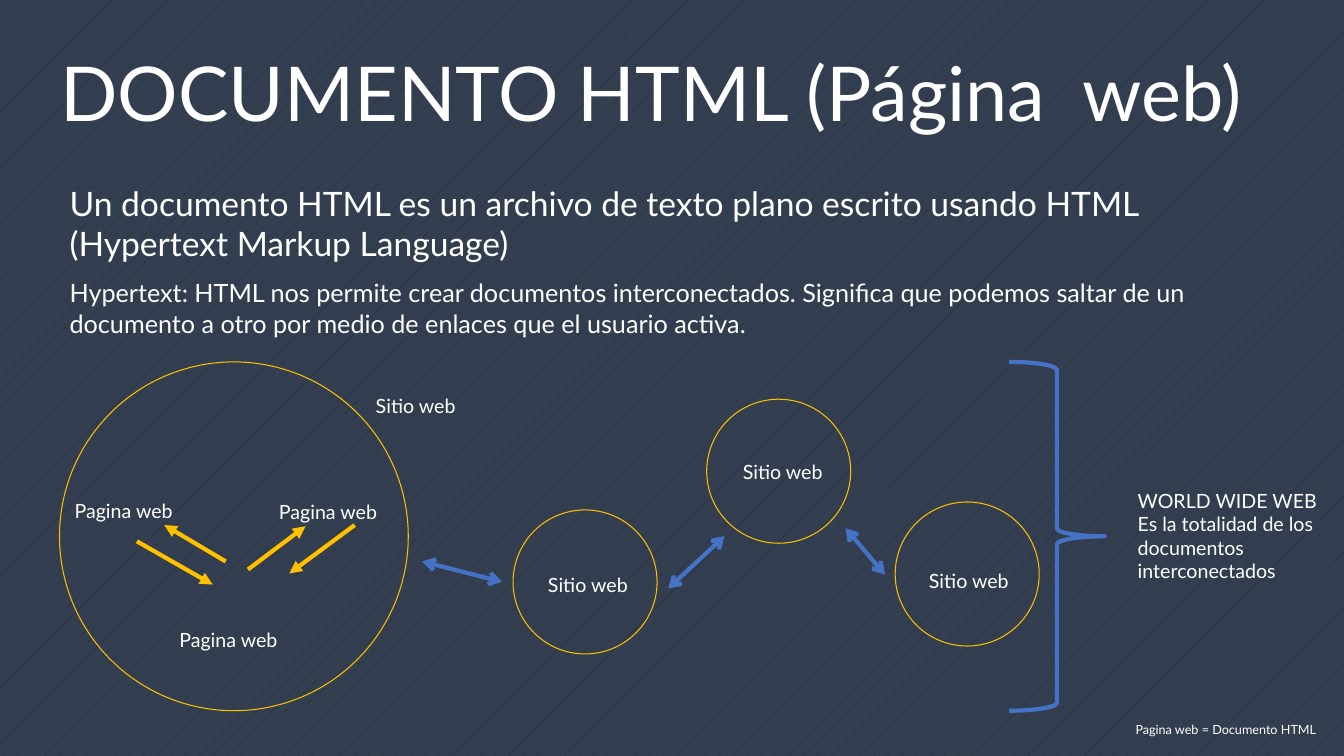
from dataclasses import dataclass

from lxml import etree
from pptx import Presentation
from pptx.dml.color import RGBColor
from pptx.enum.dml import MSO_PATTERN
from pptx.enum.shapes import MSO_CONNECTOR, MSO_SHAPE
from pptx.enum.text import MSO_ANCHOR, MSO_AUTO_SIZE, PP_ALIGN
from pptx.oxml.ns import qn
from pptx.util import Cm, Pt

STRAIGHT = MSO_CONNECTOR.STRAIGHT
ELLIPSE, BRACE = MSO_SHAPE.OVAL, MSO_SHAPE.RIGHT_BRACE
LEFT, CENTER = PP_ALIGN.LEFT, PP_ALIGN.CENTER
TOP = MSO_ANCHOR.TOP
NO_AUTOFIT = MSO_AUTO_SIZE.NONE
DOTS = MSO_PATTERN.PERCENT_5


@dataclass(frozen=True)
class Theme:
    font: str = "Lato"
    text: RGBColor = RGBColor(0xFF, 0xFF, 0xFF)
    page: RGBColor = RGBColor(0xFF, 0xC0, 0x00)
    web: RGBColor = RGBColor(0x44, 0x72, 0xC4)
    dots: RGBColor = RGBColor(0x22, 0x2A, 0x35)
    ground: RGBColor = RGBColor(0x33, 0x3F, 0x50)
    title: Pt = Pt(54)
    lead: Pt = Pt(24)
    detail: Pt = Pt(18)
    label: Pt = Pt(14)
    footnote: Pt = Pt(9)
    thin: Pt = Pt(0.75)
    thick: Pt = Pt(3)


THEME = Theme()


def place(item, box):
    item.left, item.top, item.width, item.height = (Cm(length) for length in box)


def write(frame, lines, align=LEFT, gap=0):
    frame.word_wrap = True
    frame.auto_size = NO_AUTOFIT
    frame.vertical_anchor = TOP
    for index, (words, size) in enumerate(lines):
        paragraph = frame.paragraphs[0] if index == 0 else frame.add_paragraph()
        paragraph.text = words
        properties = paragraph._p.get_or_add_pPr()
        properties.set("marL", "0")
        properties.set("indent", "0")
        etree.SubElement(properties, qn("a:buNone"))
        paragraph.alignment = align
        paragraph.line_spacing = 1.0
        paragraph.space_before = Pt(gap if index else 0)
        paragraph.font.name = THEME.font
        paragraph.font.size = size
        paragraph.font.color.rgb = THEME.text


def add_text(slide, box, lines, align=LEFT):
    note = slide.shapes.add_textbox(*(Cm(length) for length in box))
    write(note.text_frame, lines, align)


def add_label(slide, left, top, words):
    add_text(slide, (left, top, 3.3, 0.86), [(words, THEME.label)])


def add_outline(slide, preset, box, color, width):
    outline = slide.shapes.add_shape(preset, *(Cm(length) for length in box))
    outline.shadow.inherit = False
    outline.fill.background()
    outline.line.color.rgb = color
    outline.line.width = width


def add_arrow(slide, origin, route, color, ends):
    left, top = origin
    x1, y1, x2, y2 = route
    arrow = slide.shapes.add_connector(
        STRAIGHT, Cm(left + x1), Cm(top + y1), Cm(left + x2), Cm(top + y2))
    arrow.line.color.rgb = color
    arrow.line.width = THEME.thick
    for end, head in ends:
        etree.SubElement(arrow.line._get_or_add_ln(), qn(f"a:{end}"), type=head)
    etree.SubElement(arrow._element.spPr, qn("a:effectLst"))


def add_title(slide, box):
    title = slide.shapes.title
    place(title, box)
    write(title.text_frame, [("DOCUMENTO HTML (Página  web)", THEME.title)])


def add_definition(slide, box):
    definition = slide.placeholders[1]
    place(definition, box)
    write(definition.text_frame, [
        ("Un documento HTML es un archivo de texto plano escrito usando HTML "
         "(Hypertext Markup Language)", THEME.lead),
        ("Hypertext: HTML nos permite crear documentos interconectados. Significa que "
         "podemos saltar de un documento a otro por medio de enlaces que el usuario activa.",
         THEME.detail),
    ], gap=10.5)


def add_main_site(slide, box):
    left, top = box[:2]
    page_links = [
        (1.95, 4.52, 3.86, 5.61),
        (4.75, 5.23, 6.2, 4.14),
        (7.44, 4.11, 5.79, 5.33),
        (4.19, 5.03, 2.64, 4.11),
    ]
    for route in page_links:
        add_arrow(slide, (left, top), route, THEME.page, [("tailEnd", "triangle")])
    add_label(slide, left + 7.72, top + 0.68, "Sitio web")
    for x, y in [(2.77, 6.58), (5.28, 3.35), (0.13, 3.33)]:
        add_label(slide, left + x, top + y, "Pagina web")
    add_outline(slide, ELLIPSE, box, THEME.page, THEME.thin)


def add_linked_sites(slide, box):
    left, top = box[:2]
    diameter = 3.63
    sites = [
        (2.29, 3.73, 0.63, 1.45),
        (7.17, 0.94, 0.66, 1.4),
        (11.92, 3.53, 0.6, 1.55),
    ]
    for x, y, label_x, label_y in sites:
        circle = (left + x, top + y, diameter, diameter)
        add_outline(slide, ELLIPSE, circle, THEME.page, THEME.thin)
        add_label(slide, left + x + label_x, top + y + label_y, "Sitio web")
    site_links = [
        (0, 5.03, 2.01, 5.54),
        (6.2, 5.71, 7.62, 4.39),
        (10.67, 4.19, 11.66, 5.36),
    ]
    for route in site_links:
        add_arrow(slide, (left, top), route, THEME.web,
                  [("headEnd", "arrow"), ("tailEnd", "arrow")])


def add_world_wide_web(slide, box):
    left, top, width, height = box
    add_outline(slide, BRACE, (left, top, 2.41, height), THEME.web, THEME.thick)
    add_text(slide, (left + 2.99, top + 3.07, width - 2.99, 2.64), [
        ("WORLD WIDE WEB", THEME.label),
        ("Es la totalidad de los documentos interconectados", THEME.label),
    ])


def add_footnote(slide, box):
    add_text(slide, box, [("Pagina web = Documento HTML", THEME.footnote)], CENTER)


def main():
    deck = Presentation()
    deck.slide_width, deck.slide_height = Cm(33.87), Cm(19.05)
    slide = deck.slides.add_slide(deck.slide_layouts[1])
    ground = slide.background.fill
    ground.patterned()
    ground.pattern = DOTS
    ground.fore_color.rgb = THEME.dots
    ground.back_color.rgb = THEME.ground

    add_title(slide, (1.27, 1.04, 31.42, 2.57))
    add_definition(slide, (1.5, 4.47, 31.06, 4.22))
    add_main_site(slide, (1.5, 9.12, 8.79, 8.79))
    add_linked_sites(slide, (10.64, 9.12, 15.55, 8.79))
    add_world_wide_web(slide, (25.43, 9.12, 9.09, 8.79))
    add_footnote(slide, (27.84, 18.06, 6.1, 0.64))
    deck.save("out.pptx")


if __name__ == "__main__":
    main()
